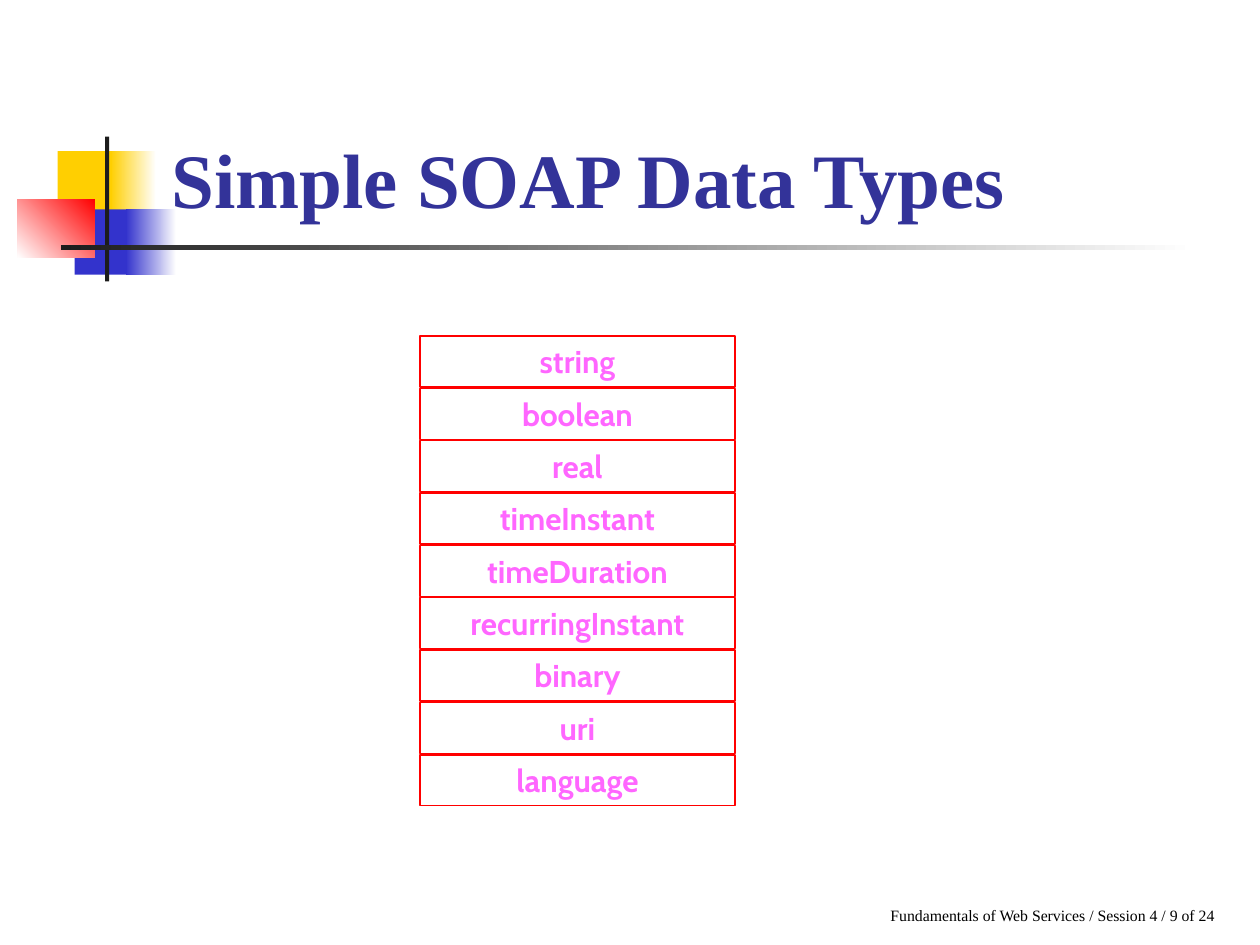
from dataclasses import dataclass

from pptx import Presentation
from pptx.dml.color import RGBColor
from pptx.enum.shapes import MSO_SHAPE
from pptx.enum.text import MSO_ANCHOR, MSO_AUTO_SIZE, PP_ALIGN
from pptx.util import Pt

TITLE = "Simple SOAP Data Types"
FOOTER = "Fundamentals of Web Services / Session 4 / 9 of 24"
DATA_TYPES = [
    "string", "boolean", "real", "timeInstant", "timeDuration",
    "recurringInstant", "binary", "uri", "language",
]


@dataclass(frozen=True)
class Theme:
    white: str = "FFFFFF"
    black: str = "000000"
    yellow: str = "FFCF01"
    blue: str = "3333CC"
    red: str = "FF0000"
    charcoal: str = "1C1C1C"
    title: str = "333399"
    label: str = "FF66FF"
    serif: str = "Times New Roman"
    sans: str = "Cabin"
    title_size: int = 44
    label_size: int = 18
    footer_size: int = 9


THEME = Theme()

# Left, top, width, height, colours, gradient angle
ORNAMENTS = [
    (33, 86.4, 34.8, 37.4, [THEME.yellow], None),
    (63.2, 86.4, 26, 37.4, [THEME.white, THEME.yellow], 180),
    (42.6, 119.6, 33, 37.4, [THEME.blue], None),
    (72, 119.6, 28.8, 37.4, [THEME.white, THEME.blue], 180),
    (9.9, 113.8, 44.3, 33.4, [THEME.red, THEME.white], 225),
    (60, 78, 2.4, 82.8, [THEME.charcoal], None),
    (34.8, 140.2, 648, 2.5, [THEME.white, THEME.charcoal], 180),
]

ROW_LEFT, ROW_TOP, ROW_WIDTH, ROW_HEIGHT, ROW_PITCH = 240, 192, 180, 29.1, 29.92


def color(value):
    return RGBColor.from_string(value)


def place(shape, left, top, width, height):
    shape.left, shape.top = Pt(left), Pt(top)
    shape.width, shape.height = Pt(width), Pt(height)


def write(shape, text, font_name, size, text_color, bold, alignment, anchor):
    frame = shape.text_frame
    frame.text = text
    frame.vertical_anchor = anchor
    paragraph = frame.paragraphs[0]
    paragraph.alignment = alignment
    font = paragraph.font
    font.name, font.size, font.bold = font_name, Pt(size), bold
    font.color.rgb = color(text_color)
    return frame


def add_rectangle(slide, left, top, width, height):
    shape = slide.shapes.add_shape(
        MSO_SHAPE.RECTANGLE, Pt(left), Pt(top), Pt(width), Pt(height))
    shape.shadow.inherit = False
    return shape


def add_ornament(slide, left, top, width, height, colors, angle):
    shape = add_rectangle(slide, left, top, width, height)
    shape.line.fill.background()
    if angle is None:
        shape.fill.solid()
        shape.fill.fore_color.rgb = color(colors[0])
        return
    shape.fill.gradient()
    shape.fill.gradient_angle = angle
    for stop, value in zip(shape.fill.gradient_stops, colors):
        stop.color.rgb = color(value)


def add_data_type(slide, index, name):
    shape = add_rectangle(
        slide, ROW_LEFT, ROW_TOP + index * ROW_PITCH, ROW_WIDTH, ROW_HEIGHT)
    shape.fill.background()
    shape.line.color.rgb = color(THEME.red)
    shape.line.width = Pt(0.75)
    write(shape, name, THEME.sans, THEME.label_size, THEME.label, True,
          PP_ALIGN.CENTER, MSO_ANCHOR.TOP)


def main():
    presentation = Presentation()
    presentation.slide_width, presentation.slide_height = Pt(720), Pt(540)
    slide = presentation.slides.add_slide(presentation.slide_layouts[5])

    for ornament in ORNAMENTS:
        add_ornament(slide, *ornament)

    footer = slide.shapes.add_textbox(Pt(501.8), Pt(514), Pt(233.3), Pt(18))
    frame = write(footer, FOOTER, THEME.serif, THEME.footer_size, THEME.black,
                  False, PP_ALIGN.LEFT, MSO_ANCHOR.TOP)
    frame.word_wrap = False
    frame.auto_size = MSO_AUTO_SIZE.SHAPE_TO_FIT_TEXT

    title = slide.shapes.title
    place(title, 90.7, 16.6, 613.4, 115.2)
    frame = write(title, TITLE, THEME.serif, THEME.title_size, THEME.title,
                  True, PP_ALIGN.LEFT, MSO_ANCHOR.BOTTOM)
    frame.auto_size = MSO_AUTO_SIZE.NONE
    title.element.getparent().append(title.element)

    for index, name in enumerate(DATA_TYPES):
        add_data_type(slide, index, name)

    presentation.save("out.pptx")


if __name__ == "__main__":
    main()
